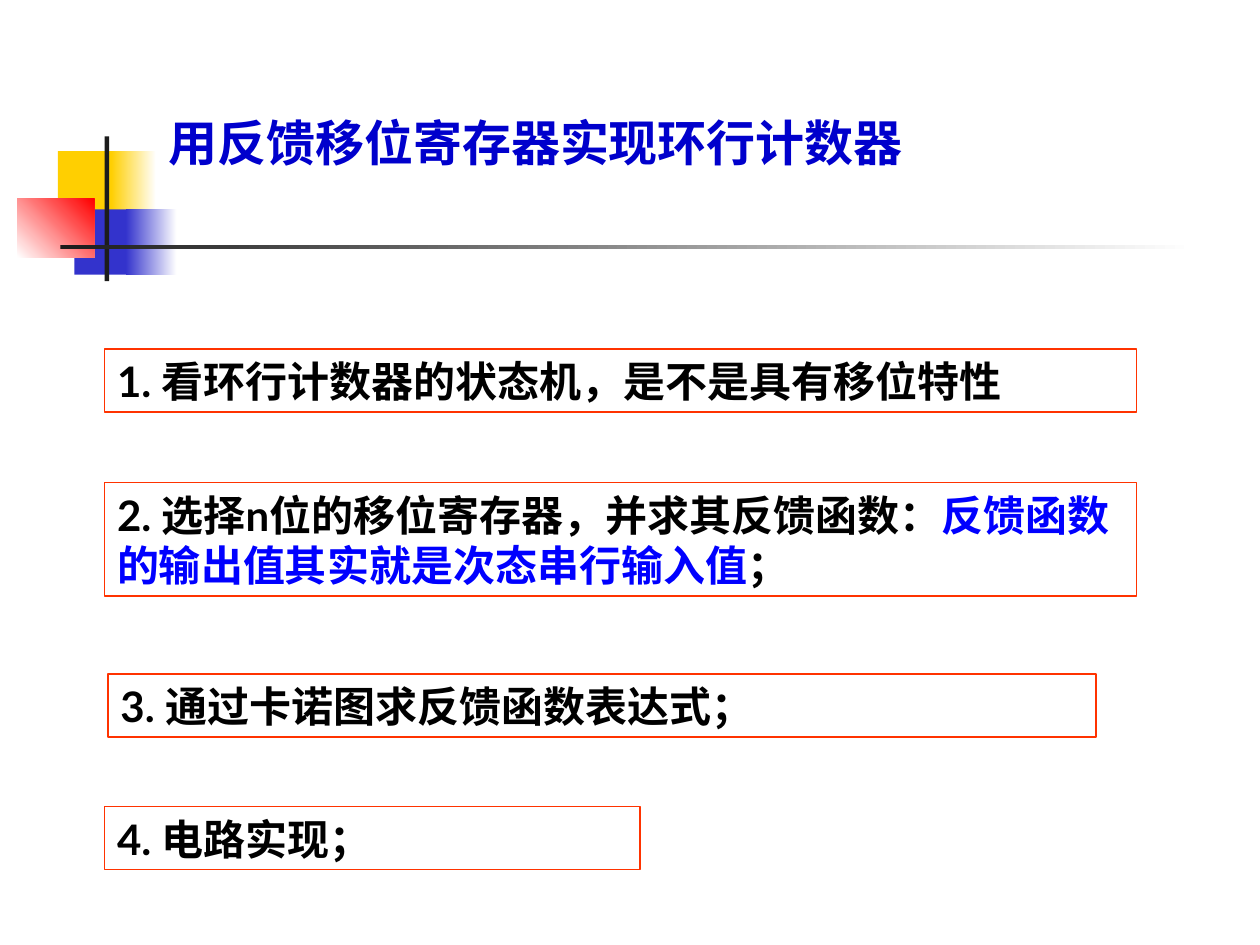
from pptx import Presentation
from pptx.dml.color import RGBColor
from pptx.enum.shapes import MSO_SHAPE
from pptx.enum.text import MSO_ANCHOR, MSO_AUTO_SIZE, PP_ALIGN
from pptx.util import Cm, Pt

RECTANGLE = MSO_SHAPE.RECTANGLE
TOP = MSO_ANCHOR.TOP
LEFT = PP_ALIGN.LEFT
GROW = MSO_AUTO_SIZE.SHAPE_TO_FIT_TEXT

FONT = "Lato"
COLORS = {
    "yellow": "FFCF01",
    "indigo": "3333CC",
    "red": "FF0000",
    "dark": "1C1C1C",
    "white": "FFFFFF",
    "title": "0000CC",
    "border": "FF3300",
    "text": "000000",
    "highlight": "0000FF",
}


def color(name):
    return RGBColor.from_string(COLORS[name])


def write_text(shape, parts, size):
    """Fill a shape with one left-aligned paragraph of coloured bold runs."""
    text_frame = shape.text_frame
    text_frame.word_wrap = True
    text_frame.vertical_anchor = TOP
    text_frame.margin_left = text_frame.margin_right = Cm(0.25)
    text_frame.margin_top = text_frame.margin_bottom = Cm(0.13)
    paragraph = text_frame.paragraphs[0]
    paragraph.alignment = LEFT
    for text, color_name in parts:
        run = paragraph.add_run()
        run.text = text
        run.font.name = FONT
        run.font.size = Pt(size)
        run.font.bold = True
        run.font.color.rgb = color(color_name)


presentation = Presentation()
presentation.slide_width = Cm(25.4)
presentation.slide_height = Cm(19.05)
slide = presentation.slides.add_slide(presentation.slide_layouts[6])

# Corner ornament: left, top, width, height, start colour, end colour, angle
ornament = [
    (1.17, 3.05, 1.22, 1.32, "yellow", None, 0),
    (2.24, 3.05, 0.91, 1.32, "yellow", "white", 0),
    (1.5, 4.22, 1.17, 1.32, "indigo", None, 0),
    (2.54, 4.22, 1.02, 1.32, "indigo", "white", 0),
    (0.35, 4.01, 1.55, 1.18, "white", "red", 45),
    (2.11, 2.75, 0.09, 2.92, "dark", None, 0),
    (1.22, 4.94, 22.86, 0.09, "dark", "white", 0),
]
for left, top, width, height, start, end, angle in ornament:
    block = slide.shapes.add_shape(RECTANGLE, Cm(left), Cm(top), Cm(width), Cm(height))
    block.shadow.inherit = False
    block.line.fill.background()
    if end is None:
        block.fill.solid()
        block.fill.fore_color.rgb = color(start)
    else:
        block.fill.gradient()
        block.fill.gradient_angle = angle
        for stop, name in zip(block.fill.gradient_stops, (start, end)):
            stop.color.rgb = color(name)

# Title
title = slide.shapes.add_textbox(Cm(3.15), Cm(2.13), Cm(21.41), Cm(2.79))
write_text(title, [("用反馈移位寄存器实现环行计数器", "title")], 28)

# Framed steps: left, top, width, height, text parts
steps = [
    (2.11, 7.04, 20.8, 1.27, [("1. 看环行计数器的状态机，是不是具有移位特性", "text")]),
    (2.11, 9.73, 20.8, 2.29, [
        ("2. 选择n位的移位寄存器，并求其反馈函数：", "text"),
        ("反馈函数的输出值其实就是次态串行输入值", "highlight"),
        ("；", "text"),
    ]),
    (2.18, 13.59, 19.91, 1.27, [("3. 通过卡诺图求反馈函数表达式；", "text")]),
    (2.11, 16.26, 10.8, 1.27, [("4. 电路实现；", "text")]),
]
for left, top, width, height, parts in steps:
    step = slide.shapes.add_shape(RECTANGLE, Cm(left), Cm(top), Cm(width), Cm(height))
    step.shadow.inherit = False
    step.fill.background()
    step.line.color.rgb = color("border")
    step.line.width = Pt(1)
    write_text(step, parts, 24)
    step.text_frame.auto_size = GROW

presentation.save("out.pptx")
